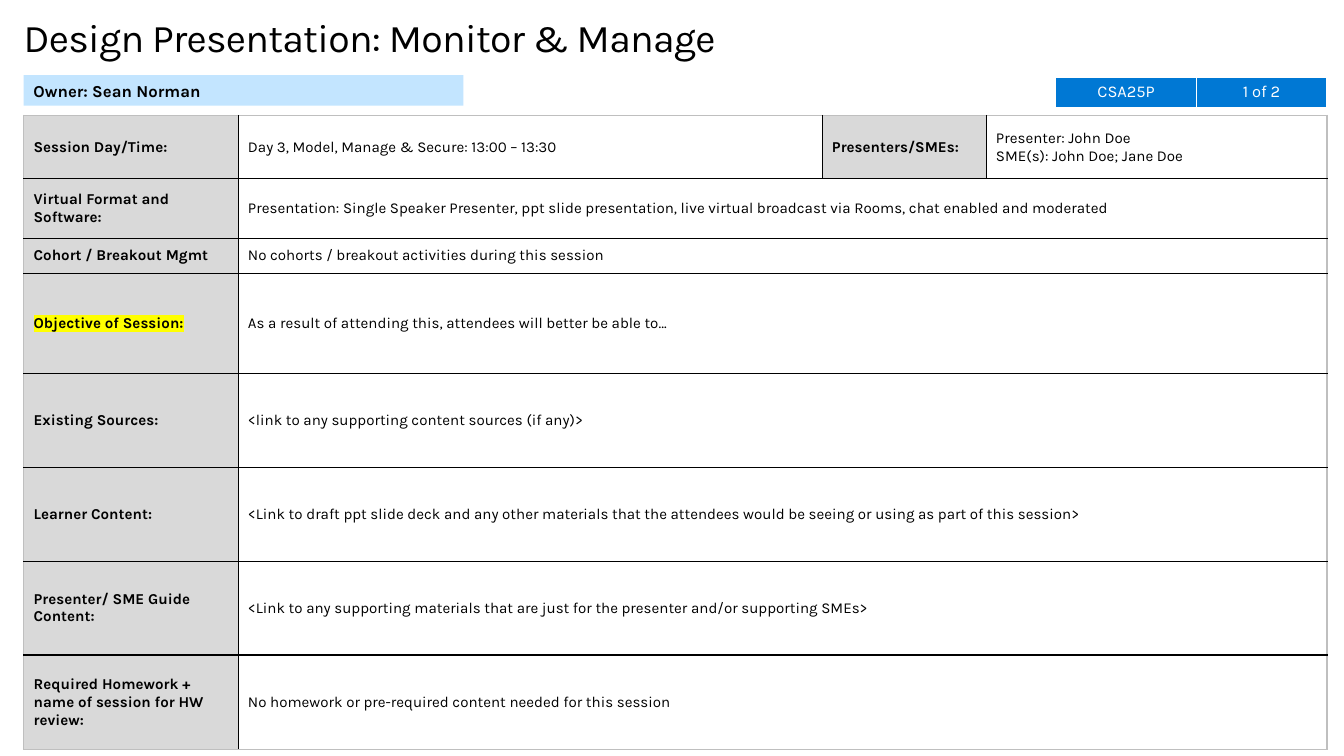
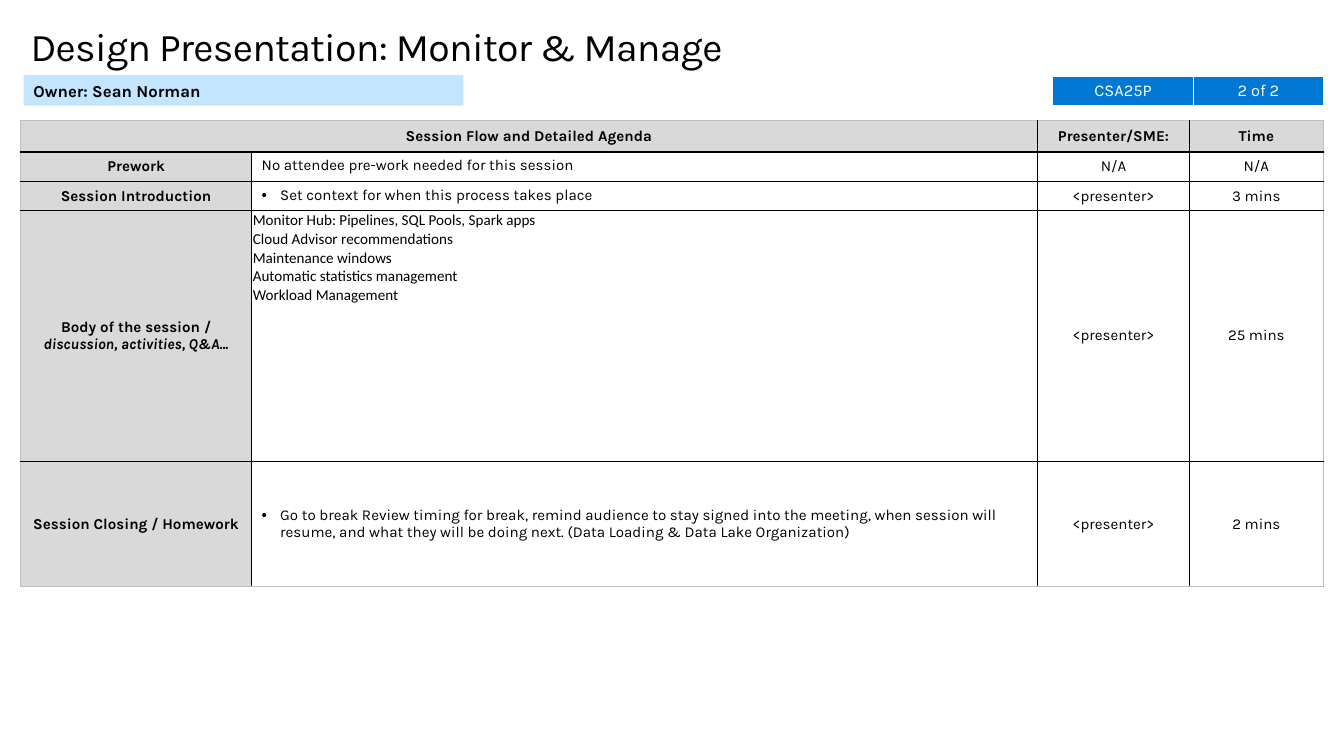
from lxml import etree
from pptx import Presentation
from pptx.dml.color import RGBColor
from pptx.enum.shapes import MSO_SHAPE
from pptx.enum.text import MSO_ANCHOR, PP_ALIGN
from pptx.oxml.ns import qn
from pptx.util import Pt

RECT = MSO_SHAPE.RECTANGLE
TOP, MID = MSO_ANCHOR.TOP, MSO_ANCHOR.MIDDLE
LEFT, MIDDLE = PP_ALIGN.LEFT, PP_ALIGN.CENTER

# Shared look
BLACK, WHITE, GRAY, EDGE = "000000", "FFFFFF", "D9D9D9", "BFBFBF"
PALE, BLUE, YELLOW = "C3E5FF", "0078D4", "FFFF00"
GRID = {"inner": (BLACK, 1), "outer": (EDGE, 1), "base": (EDGE, 1)}
PLAIN_GRID = {"inner": (WHITE, 1), "outer": (WHITE, 1), "base": (WHITE, 3)}
INSET = (7.2, 3.6, 7.2, 3.6)


def look(size=11, color=BLACK, fill=None, align=LEFT, anchor=MID,
         inset=INSET, **more):
    return {"size": size, "color": color, "fill": fill, "align": align,
            "anchor": anchor, "inset": inset, **more}


TITLE = look(28.6, inset=(0, 0, 0, 0), space=-50)
OWNER = look(12.2, fill=PALE, bold=True)
TAG = look(12, WHITE, BLUE, MIDDLE, TOP)
LABEL = look(fill=GRAY, bold=True)
MARK = {**LABEL, "mark": YELLOW}
HEAD = {**LABEL, "align": MIDDLE}
STEP = {**HEAD, "slant": 1}      # italic from this line on
TEXT = look()
NOTE = look(anchor=TOP)
DOT = {**TEXT, "bullet": "•"}
TOP_DOT = {**NOTE, "bullet": "•"}
BODY = look(anchor=TOP, inset=(0.72, 0.72, 0.72, 0), face="Calibri")
MID_TEXT = look(align=MIDDLE)

# Content; None continues the cell on its left
HEADING = "Design Presentation: Monitor & Manage"
LEAD = "Owner: Sean Norman"
CODE = "CSA25P"


def wide(label, text, style=LABEL):
    return [(label, style), (text, TEXT), None, None]


def step(label, text, who, time, style=HEAD, form=NOTE):
    return [(label, style), (text, form), (who, MID_TEXT), (time, MID_TEXT)]


BRIEF = [
    [("Session Day/Time:", LABEL),
     ("Day 3, Model, Manage & Secure: 13:00 – 13:30", TEXT),
     ("Presenters/SMEs:", LABEL),
     ("Presenter: John Doe\nSME(s): John Doe; Jane Doe", TEXT)],
    wide("Virtual Format and Software:",
         "Presentation: Single Speaker Presenter, ppt slide presentation, "
         "live virtual broadcast via Rooms, chat enabled and moderated"),
    wide("Cohort / Breakout Mgmt",
         "No cohorts / breakout activities during this session"),
    wide("Objective of Session:",
         "As a result of attending this, attendees will better be able to…",
         MARK),
    wide("Existing Sources:",
         "<link to any supporting content sources (if any)>"),
    wide("Learner Content:",
         "<Link to draft ppt slide deck and any other materials that the "
         "attendees would be seeing or using as part of this session>"),
    wide("Presenter/ SME Guide Content:",
         "<Link to any supporting materials that are just for the presenter "
         "and/or supporting SMEs>"),
    wide("Required Homework + name of session for HW review:",
         "No homework or pre-required content needed for this session"),
]
AGENDA = [
    [("Session Flow and Detailed Agenda", HEAD), None,
     ("Presenter/SME:", HEAD), ("Time", HEAD)],
    step("Prework", "No attendee pre-work needed for this session",
         "N/A", "N/A"),
    step("Session Introduction",
         "Set context for when this process takes place",
         "<presenter>", "3 mins", form=TOP_DOT),
    step("Body of the session /\ndiscussion, activities, Q&A...",
         "Monitor Hub: Pipelines, SQL Pools, Spark apps\n"
         "Cloud Advisor recommendations\nMaintenance windows\n"
         "Automatic statistics management\nWorkload Management",
         "<presenter>", "25 mins", STEP, BODY),
    step("Session Closing / Homework",
         "Go to break Review timing for break, remind audience to stay signed "
         "into the meeting, when session will resume, and what they will be "
         "doing next. (Data Loading & Data Lake Organization)",
         "<presenter>", "2 mins", form=DOT),
]
PAGES = [
    {"title": (17.3, 9.4), "tag": (769, 56.2, 23), "rows": BRIEF,
     "at": (17.3, 84.2), "cols": (156.2, 425.5, 119.5, 248.4),
     "highs": (46.1, 43.2, 25.9, 72.7, 68.4, 68.4, 68.4, 69.1)},
    {"title": (22.3, 15.8), "tag": (766.8, 55.4, 22.3), "rows": AGENDA,
     "at": (15, 87.8), "cols": (168.5, 572.4, 110.9, 97.2),
     "highs": (23, 21.6, 20.9, 182.9, 91.4)},
]


def rgb(code):
    return RGBColor.from_string(code)


def setall(item, values):
    for name, value in values.items():
        setattr(item, name, value)


def child(node, tag, **attrs):
    return etree.SubElement(node, qn(tag), attrs)


def write(box, frame, text, style):
    """Fill a cell or a text frame, one paragraph a line."""
    sides = ("left", "top", "right", "bottom")
    setall(box, {f"margin_{s}": Pt(v) for s, v in zip(sides, style["inset"])})
    setall(box, {"vertical_anchor": style["anchor"]})
    frame.word_wrap = True
    for i, line in enumerate(text.split("\n")):
        para = frame.add_paragraph() if i else frame.paragraphs[0]
        para.alignment = style["align"]
        if "bullet" in style:
            props = para._p.get_or_add_pPr()
            props.set("marL", str(Pt(13.5)))
            props.set("indent", str(-Pt(13.5)))
            child(props, "a:buFont", typeface="Arial")
            child(props, "a:buChar", char=style["bullet"])
        run = para.add_run()
        run.text = line
        setall(run.font, {"name": style.get("face", "Karla"),
                          "size": Pt(style["size"]),
                          "bold": style.get("bold", False),
                          "italic": i >= style.get("slant", 99)})
        run.font.color.rgb = rgb(style["color"])
        props = run._r.get_or_add_rPr()
        if "space" in style:
            props.set("spc", str(style["space"]))
        if "mark" in style:
            mark = etree.Element(qn("a:highlight"))
            child(mark, "a:srgbClr", val=style["mark"])
            props.find(qn("a:solidFill")).addnext(mark)


def border(cell, lines):
    """Draw the sides L, R, T, B of a cell."""
    props = cell._tc.get_or_add_tcPr()
    for i, (side, (color, width)) in enumerate(zip("LRTB", lines)):
        line = etree.Element(qn(f"a:ln{side}"), w=str(Pt(width)))
        child(child(line, "a:solidFill"), "a:srgbClr", val=color)
        props.insert(i, line)


def grid(slide, at, cols, highs, rows, lines):
    """Place a table with its spans, fills and borders."""
    nrow, ncol = len(highs), len(cols)
    spot = [Pt(v) for v in (*at, sum(cols), sum(highs))]
    table = slide.shapes.add_table(nrow, ncol, *spot).table
    setall(table, {"first_row": False, "horz_banding": False})
    for col, width in zip(table.columns, cols):
        col.width = Pt(width)
    inner, outer = lines["inner"], lines["outer"]
    for r, row in enumerate(rows):
        table.rows[r].height = Pt(highs[r])
        for c, item in enumerate(row):
            if item is None:
                continue
            end = c + 1
            while end < ncol and row[end] is None:
                end += 1
            cell = table.cell(r, c)
            if end > c + 1:
                cell.merge(table.cell(r, end - 1))
            text, style = item
            write(cell, cell.text_frame, text, style)
            for part in range(c, end):
                spare = table.cell(r, part)
                if style["fill"]:
                    spare.fill.solid()
                    spare.fill.fore_color.rgb = rgb(style["fill"])
                else:
                    spare.fill.background()
            border(cell, (inner if c else outer,
                          inner if end < ncol else outer,
                          inner if r else outer,
                          inner if r < nrow - 1 else lines["base"]))
            for part in range(c + 1, end):
                sides = border_row = (inner if r else outer,
                                      inner if r < nrow - 1 else lines["base"])
                blank = (style["fill"] or WHITE, 0)
                sides = (blank, outer if end == ncol else inner)
                if part < end - 1:
                    sides = (blank, blank)
                border(table.cell(r, part), sides + border_row)


def page(deck, num, data):
    slide = deck.slides.add_slide(deck.slide_layouts[6])
    shapes = slide.shapes
    grid(slide, data["at"], data["cols"], data["highs"], data["rows"], GRID)

    # Owner band
    band = shapes.add_shape(RECT, Pt(17.3), Pt(54.7), Pt(320.4), Pt(22.3))
    band.shadow.inherit = False
    band.fill.solid()
    band.fill.fore_color.rgb = rgb(PALE)
    band.line.fill.background()
    write(band.text_frame, band.text_frame, LEAD, OWNER)

    # Code and page count
    left, top, high = data["tag"]
    tags = [[(CODE, TAG), (f"{num} of {len(PAGES)}", TAG)]]
    grid(slide, (left, top), (103, 94.3), (high,), tags, PLAIN_GRID)

    # Title
    left, top = data["title"]
    title = shapes.add_textbox(Pt(left), Pt(top), Pt(930), Pt(35.3))
    write(title.text_frame, title.text_frame, HEADING, TITLE)


def main():
    deck = Presentation()
    setall(deck, {"slide_width": Pt(979.2), "slide_height": Pt(550.8)})
    for num, data in enumerate(PAGES, 1):
        page(deck, num, data)
    deck.save("out.pptx")


if __name__ == "__main__":
    main()
